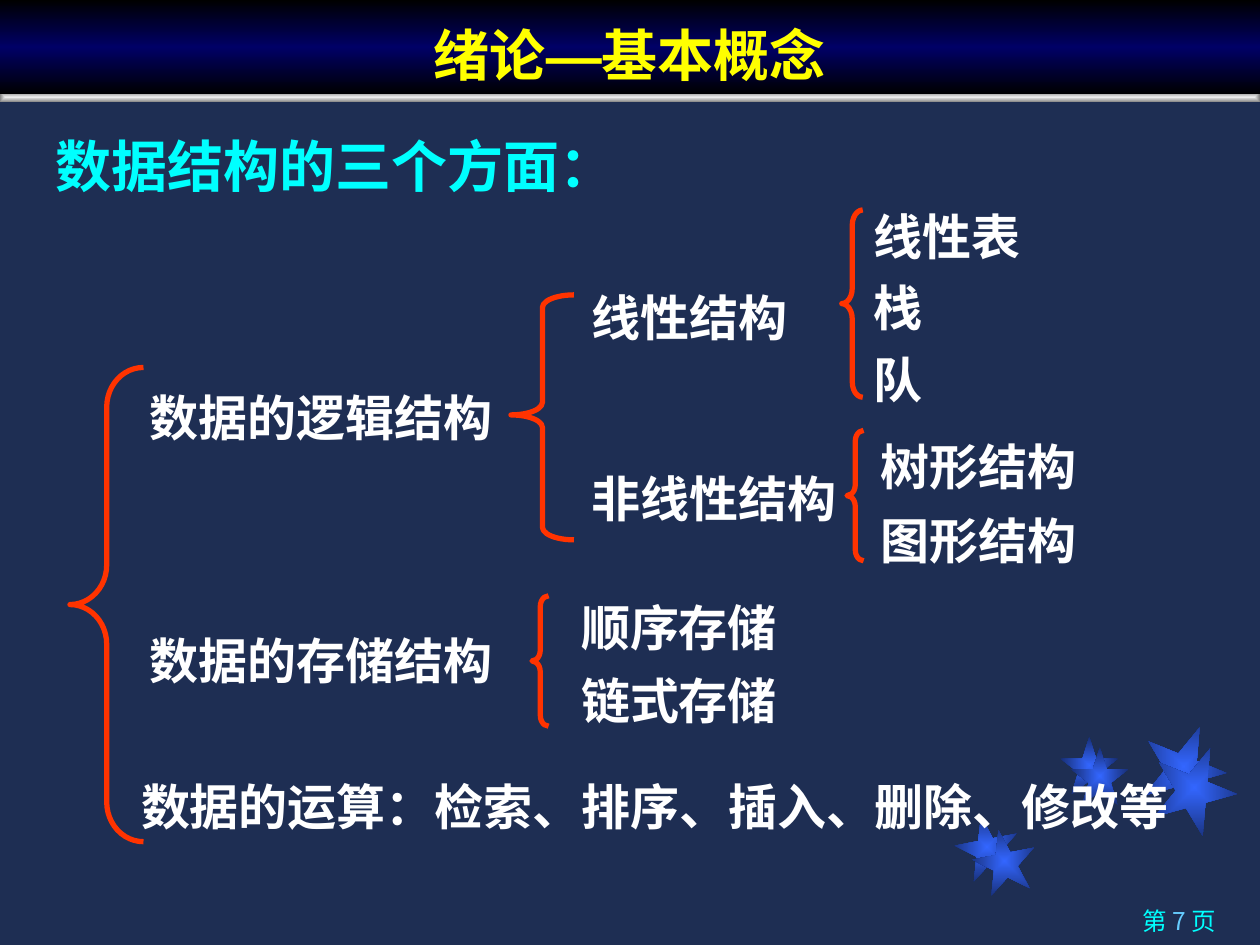
from lxml import etree
from pptx import Presentation
from pptx import util as u
from pptx.dml.color import RGBColor
from pptx.enum import shapes, text
from pptx.oxml import ns

Pt = u.Pt
COLORS = {"back": "1E2E53", "star": "3366FF", "star_edge": "182F76",
          "silver": "EDEDED", "gray": "808080", "black": "000000",
          "navy": "000066", "yellow": "FFFF00", "cyan": "00FFFF",
          "sky": "66CCFF", "white": "FFFFFF", "red": "FF3300"}
CJK, SERIF, SANS = "Noto Sans CJK SC", "Times New Roman", "Arial"


def rgb(name):
    """Return the named colour."""
    return RGBColor.from_string(COLORS[name])


def gradient(sp, stops, angle=None):
    """Fill a shape along an angle, or from its centre when none is given."""
    sp.fill.gradient()
    grad = sp._element.spPr.find(ns.qn("a:gradFill"))
    for child in list(grad):
        grad.remove(child)
    gs_list = etree.SubElement(grad, ns.qn("a:gsLst"))
    for pos, name in stops:
        gs = etree.SubElement(gs_list, ns.qn("a:gs"), pos=str(pos * 1000))
        etree.SubElement(gs, ns.qn("a:srgbClr"), val=COLORS[name])
    if angle is None:
        way = etree.SubElement(grad, ns.qn("a:path"), path="rect")
        etree.SubElement(way, ns.qn("a:fillToRect"),
                         {side: "50000" for side in "ltrb"})
    else:
        etree.SubElement(grad, ns.qn("a:lin"), ang=str(angle * 60000), scaled="0")


def add_shape(s, kind, x, y, w, h):
    """Add a preset shape without shadow."""
    sp = s.shapes.add_shape(kind, Pt(x), Pt(y), Pt(w), Pt(h))
    sp.shadow.inherit = False
    return sp


def add_run(p, words, size, color, font, bold=False, east=CJK):
    """Add one formatted run."""
    r = p.add_run()
    r.text = words
    r.font.size, r.font.bold, r.font.name = Pt(size), bold, font
    r.font.color.rgb = rgb(color)
    latin = r._r.rPr.find(ns.qn("a:latin"))
    latin.addnext(latin.makeelement(ns.qn("a:ea"), {"typeface": east}))


def add_label(s, x, y, words, size=28, color="white"):
    """Add a bold one-line label as wide as its characters."""
    sp = s.shapes.add_textbox(Pt(x), Pt(y), Pt(len(words) * size + 14.4),
                              Pt(size * 1.2 + 7.2))
    sp.text_frame.word_wrap = False
    sp.text_frame.auto_size = text.MSO_AUTO_SIZE.SHAPE_TO_FIT_TEXT
    add_run(sp.text_frame.paragraphs[0], words, size, color, SERIF, True)


def add_stars(s, x, y):
    """Draw three pairs of overlapping stars."""
    pairs = [(0, 52, 36, -11, 10, 8), (60, 7, 33, 0, 6, 6),
             (106.5, 0, 48, 22, 6, 12)]
    for left, top, size, turn, dx, dy in pairs:
        for step in range(2):
            sp = add_shape(s, shapes.MSO_SHAPE.STAR_5_POINT,
                           x + left + step * dx, y + top + step * dy, size, size)
            sp.rotation = turn
            sp.line.fill.background()
            gradient(sp, [(0, "star"), (100, "star_edge")])


def add_title_band(s, x, y, w, h):
    """Place the title on its dark band above a silver rule."""
    rule = add_shape(s, shapes.MSO_SHAPE.RECTANGLE, x, y + h - 1.5, w, 6)
    rule.line.fill.background()
    gradient(rule, [(0, "silver"), (100, "gray")])
    title = s.shapes.title
    title.left, title.top, title.width, title.height = Pt(x), Pt(y), Pt(w), Pt(h)
    gradient(title, [(0, "black"), (50, "navy"), (100, "black")], 90)
    tf = title.text_frame
    tf.auto_size = text.MSO_AUTO_SIZE.NONE
    tf.vertical_anchor = text.MSO_ANCHOR.BOTTOM
    p = tf.paragraphs[0]
    p.alignment = text.PP_ALIGN.CENTER
    p.line_spacing = 1.0
    p.space_before = Pt(0)
    for words, font in [("绪论", CJK), ("—", SANS), ("基本概念", CJK)]:
        add_run(p, words, 32, "yellow", font, True, font)
    s.shapes._spTree.append(title._element)


def add_concept_tree(s, x, y):
    """Draw the braces and the labels they gather."""
    braces = [(0, 96, 42, 271, 0.54, 0.5), (264, 226.5, 9.5, 74.5, 0.65, 0.5),
              (252, 54.5, 36, 140, 0.2, 0.49), (441, 6, 12, 107, 0.73, 0.5),
              (444, 132, 9.5, 74.5, 0.65, 0.5)]
    for left, top, w, h, curve, tip in braces:
        sp = add_shape(s, shapes.MSO_SHAPE.LEFT_BRACE, x + left, y + top, w, h)
        sp.adjustments[0], sp.adjustments[1] = curve, tip
        sp.fill.background()
        sp.line.color.rgb = rgb("red")
        sp.line.width = Pt(3)
    columns = [(38.5, 104, 139, ["数据的逻辑结构", "数据的存储结构"]),
               (33.5, 326, 0, ["数据的运算：检索、排序、插入、删除、修改等"]),
               (291, 47, 103, ["线性结构", "非线性结构"]),
               (285, 224, 41.5, ["顺序存储", "链式存储"]),
               (452, 0.5, 40.7, ["线性表", "栈", "队"]),
               (456, 132, 42, ["树形结构", "图形结构"])]
    for left, top, pitch, names in columns:
        for i, name in enumerate(names):
            add_label(s, x + left, y + top + i * pitch, name)


def add_page_number(s, x, y, w, h):
    """Write the page number at the right of its box."""
    sp = s.shapes.add_textbox(Pt(x), Pt(y), Pt(w), Pt(h))
    sp.text_frame.word_wrap = True
    p = sp.text_frame.paragraphs[0]
    p.alignment = text.PP_ALIGN.RIGHT
    for words, color in [("第 ", "cyan"), ("7 ", "sky"), ("页", "cyan")]:
        add_run(p, words, 14, color, CJK)


def main():
    """Build and save the slide."""
    prs = Presentation()
    prs.slide_width, prs.slide_height = Pt(720), Pt(540)
    s = prs.slides.add_slide(prs.slide_layouts[5])
    s.background.fill.solid()
    s.background.fill.fore_color.rgb = rgb("back")
    add_stars(s, 546, 414)
    add_page_number(s, 512.5, 514, 189.5, 26)
    add_concept_tree(s, 40, 114)
    add_label(s, 24.5, 71.5, "数据结构的三个方面：", 32, "cyan")
    add_title_band(s, 0, 0, 720, 54)
    prs.save("out.pptx")


if __name__ == "__main__":
    main()
